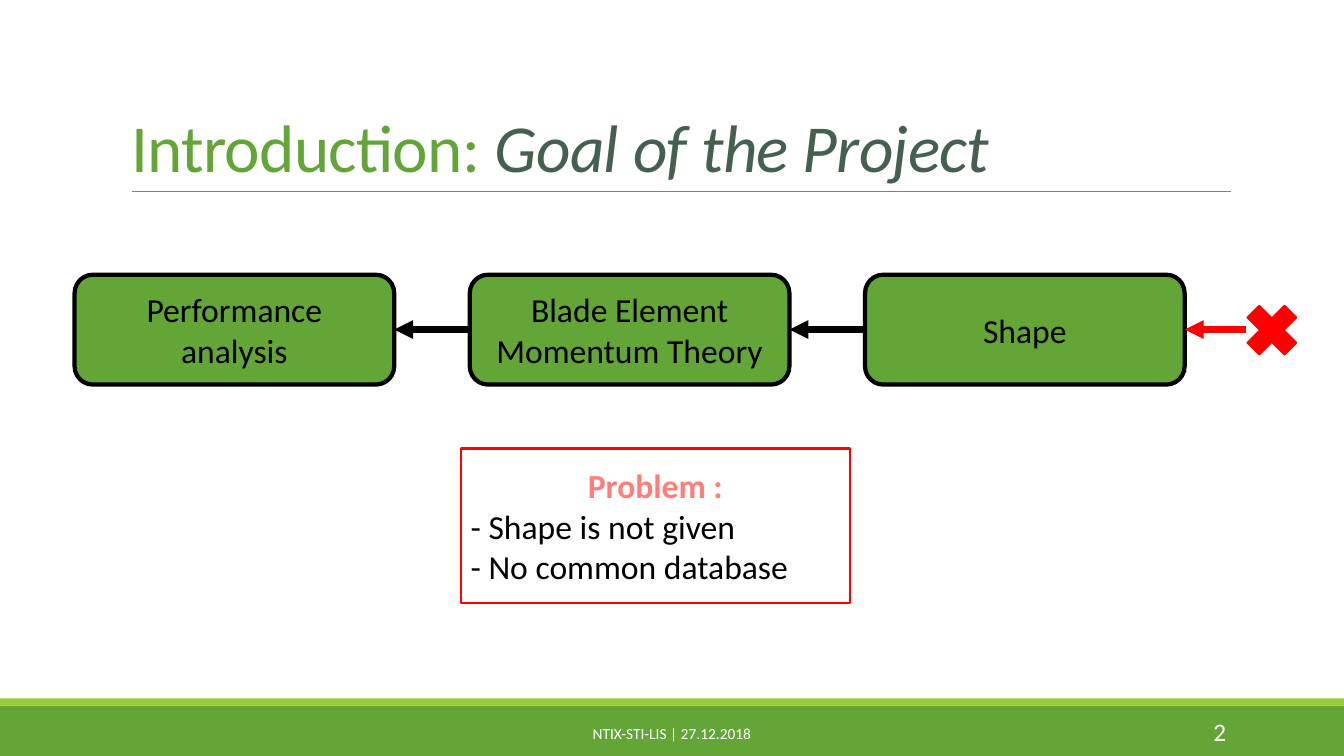
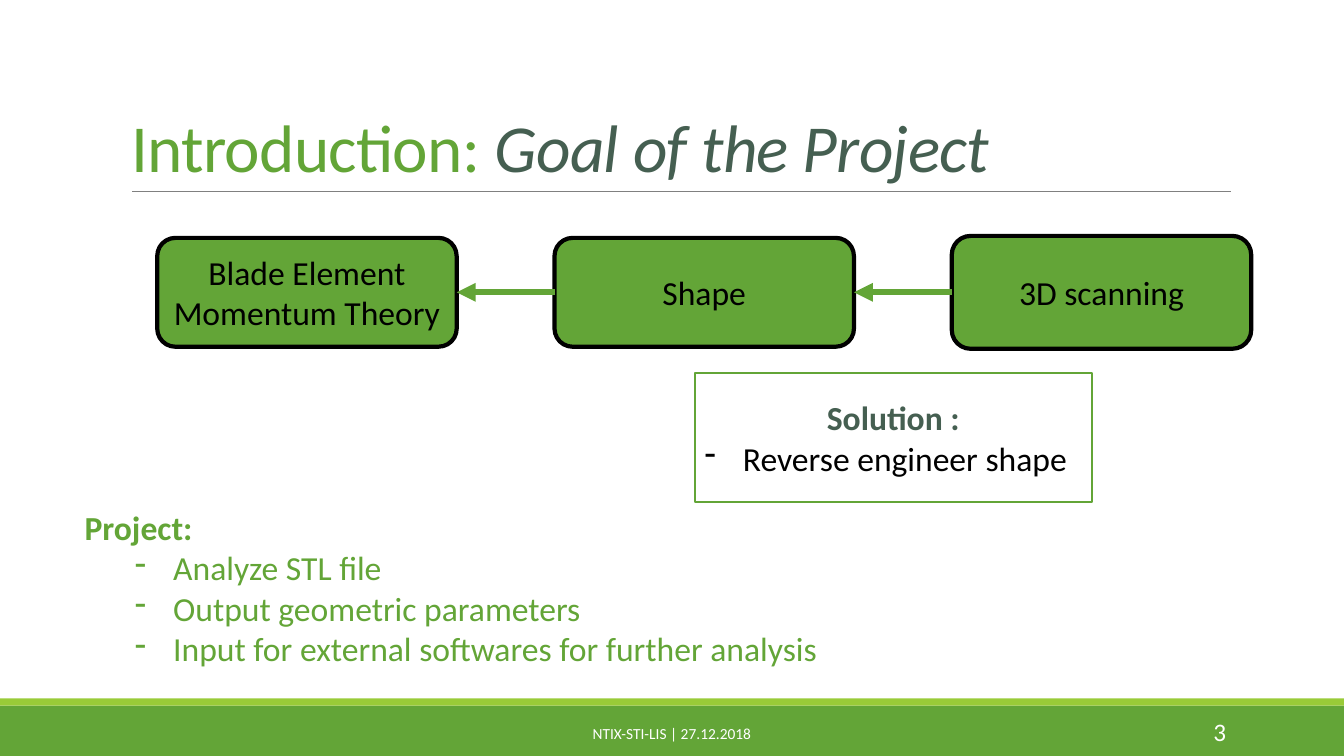
from lxml.etree import SubElement
from pptx import Presentation
from pptx.dml.color import RGBColor
from pptx.enum.shapes import MSO_CONNECTOR, MSO_SHAPE
from pptx.enum.text import MSO_ANCHOR, MSO_AUTO_SIZE, PP_ALIGN
from pptx.oxml.ns import qn
from pptx.util import Inches, Pt

GREEN, LIME, DARK = "63A537", "99CB38", "455F51"
BLACK, WHITE, GREY = "000000", "FFFFFF", "808080"
RED, SALMON = "FF0000", "FF7E79"
FONT = "Calibri"
TOP, LEFT, BOTTOM, RIGHT = range(4)


def rgb(value):
    """Turn a hex string into a colour."""
    return RGBColor.from_string(value)


class Deck:
    """Shared style and the slide being built."""

    def __init__(self):
        self.presentation = Presentation()
        self.presentation.slide_width = Inches(13.33)
        self.presentation.slide_height = Inches(7.5)
        self.slide = None

    def style(self, font, size, color, bold=False):
        """Set the typeface, size, colour and weight of a font."""
        font.name, font.size, font.bold = FONT, Pt(size), bold
        font.color.rgb = rgb(color)

    def start(self, topic, subject, number):
        """Add a slide with bands, title, rule, footer and number."""
        self.slide = self.presentation.slides.add_slide(
            self.presentation.slide_layouts[5])
        self.shape(0, 7, 13.33, 0.5, fill=GREEN)
        self.shape(0, 6.93, 13.33, 0.07, fill=LIME)
        self.line((1.31, 1.9), (12.21, 1.9), GREY, 0.5)
        self.title(topic, subject)
        self.text(4.03, 7.08, 5.27, 0.4, "NTIX-STI-LIS | 27.12.2018", 11, PP_ALIGN.CENTER)
        self.text(10.83, 7.06, 1.43, 0.4, str(number), 18, PP_ALIGN.RIGHT)

    def title(self, topic, subject):
        """Fill the title placeholder in two colours."""
        title = self.slide.shapes.title
        title.left, title.top = Inches(1.2), Inches(0.31)
        title.width, title.height = Inches(11), Inches(1.59)
        frame = title.text_frame
        frame.auto_size = MSO_AUTO_SIZE.NONE
        frame.vertical_anchor = MSO_ANCHOR.BOTTOM
        paragraph = frame.paragraphs[0]
        paragraph.alignment, paragraph.line_spacing = PP_ALIGN.LEFT, 0.85
        for words, color, italic in ((topic, GREEN, False), (subject, DARK, True)):
            run = paragraph.add_run()
            run.text = words
            self.style(run.font, 48, color)
            run.font.italic = italic
            run.font._element.set("spc", "-50")

    def shape(self, left, top, width, height, kind=MSO_SHAPE.RECTANGLE,
              fill=WHITE, border=None, weight=1.5):
        """Add a filled preset shape, with a border if one is given."""
        shape = self.slide.shapes.add_shape(
            kind, Inches(left), Inches(top), Inches(width), Inches(height))
        shape.shadow.inherit = False
        shape.fill.solid()
        shape.fill.fore_color.rgb = rgb(fill)
        if border:
            shape.line.color.rgb = rgb(border)
            shape.line.width = Pt(weight)
        else:
            shape.line.fill.background()
        shape.text_frame.vertical_anchor = MSO_ANCHOR.MIDDLE
        return shape

    def line(self, start, end, color, weight, arrow=False):
        """Add a straight line, optionally with an arrowhead at its end."""
        line = self.slide.shapes.add_connector(
            MSO_CONNECTOR.STRAIGHT, *map(Inches, start + end))
        line.line.color.rgb = rgb(color)
        line.line.width = Pt(weight)
        properties = line._element.spPr
        if arrow:
            SubElement(properties.find(qn("a:ln")), qn("a:tailEnd"), type="triangle")
        SubElement(properties, qn("a:effectLst"))
        return line

    def text_box(self, left, top, width, height):
        """Add an empty wrapping text box and return its frame."""
        frame = self.slide.shapes.add_textbox(
            Inches(left), Inches(top), Inches(width), Inches(height)).text_frame
        frame.word_wrap = True
        return frame

    def text(self, left, top, width, height, words, size, align):
        """Add one white line of footer text."""
        frame = self.text_box(left, top, width, height)
        frame.vertical_anchor = MSO_ANCHOR.MIDDLE
        self.add_lines(frame, [words], size, WHITE, align)

    def add_lines(self, frame, lines, size=24, color=BLACK, align=PP_ALIGN.LEFT,
                  bold=False, indent=None, level=0):
        """Add paragraphs after any already in the frame."""
        for words in lines:
            paragraph = frame.add_paragraph() if frame.text else frame.paragraphs[0]
            paragraph.text, paragraph.alignment = words, align
            paragraph.level = level
            if indent:
                properties = paragraph._p.get_or_add_pPr()
                properties.set("marL", str(Inches(indent)))
                properties.set("indent", str(Inches(-0.38)))
                SubElement(properties, qn("a:buChar"), char="-")
            self.style(paragraph.font, size, color, bold)

    def flow(self, steps, left, pitch, middle, width, heights, color):
        """Add a row of boxes, each with an arrow to the one before it."""
        boxes = []
        for index, (lines, height) in enumerate(zip(steps, heights)):
            box = self.shape(left + index * pitch, middle - height / 2, width, height,
                             MSO_SHAPE.ROUNDED_RECTANGLE, GREEN, BLACK, 3)
            self.add_lines(box.text_frame, lines, align=PP_ALIGN.CENTER)
            boxes.append(box)
        for target, source in zip(boxes, boxes[1:]):
            arrow = self.line((0, 0), (0, 0), color, 4.5, arrow=True)
            arrow.begin_connect(source, LEFT)
            arrow.end_connect(target, RIGHT)
        return boxes

    def callout(self, left, top, width, height, heading, color, border, lines, indent=None):
        """Add a bordered box with a bold heading and lines below."""
        frame = self.shape(left, top, width, height, border=border).text_frame
        self.add_lines(frame, [heading], color=color, align=PP_ALIGN.CENTER, bold=True)
        self.add_lines(frame, lines, indent=indent)


def main():
    """Build and save both slides."""
    deck = Deck()
    heading = ("Introduction: ", "Goal of the Project")
    theory, shape = ["Blade Element Momentum Theory"], ["Shape"]

    deck.start(*heading, 2)
    boxes = deck.flow([["Performance", "analysis"], theory, shape],
                      0.74, 3.92, 3.27, 3.17, (1.09, 1.09, 1.09), BLACK)
    deck.callout(4.57, 4.45, 3.86, 1.53, "Problem :", SALMON, RED,
                 ["- Shape is not given", "- No common database"])
    deck.shape(12.26, 2.92, 0.71, 0.71, MSO_SHAPE.MATH_MULTIPLY, RED, RED, 1.25)
    missing_input = deck.line((12.36, 3.27), (11.75, 3.27), RED, 4.5, arrow=True)
    missing_input.end_connect(boxes[-1], RIGHT)

    deck.start(*heading, 3)
    deck.flow([theory, shape, ["3D scanning"]],
              1.56, 3.94, 2.9, 2.97, (1.08, 1.08, 1.12), GREEN)
    deck.callout(6.89, 3.7, 3.94, 1.28, "Solution :", DARK, GREEN,
                 ["Reverse engineer shape"], indent=0.38)
    project = deck.text_box(0.74, 4.98, 7.57, 1.72)
    project.auto_size = MSO_AUTO_SIZE.SHAPE_TO_FIT_TEXT
    deck.add_lines(project, ["Project:"], color=GREEN, bold=True)
    deck.add_lines(project, ["Analyze STL file", "Output geometric parameters",
                             "Input for external softwares for further analysis"],
                   color=GREEN, indent=0.88, level=1)

    deck.presentation.save("out.pptx")


if __name__ == "__main__":
    main()
